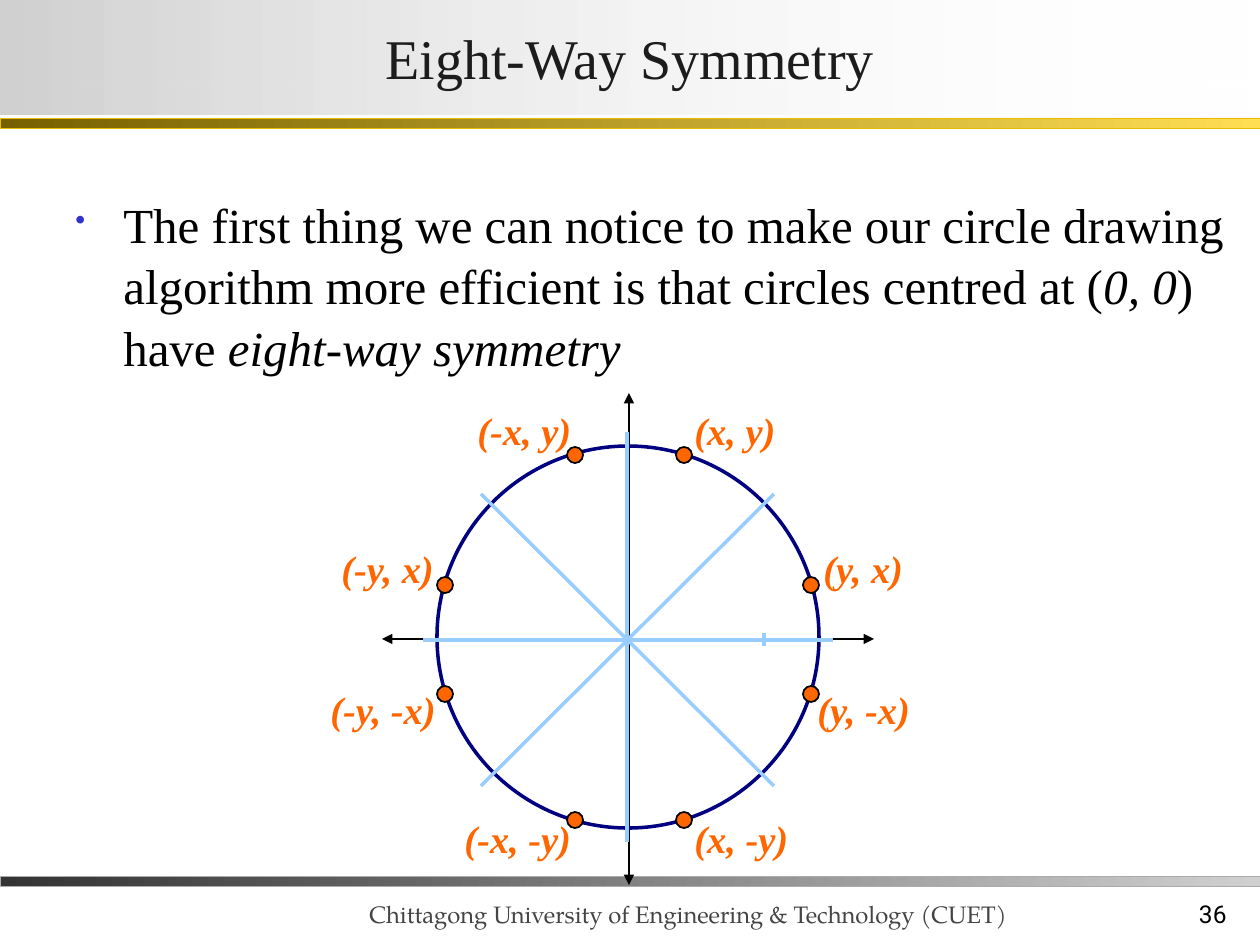
from dataclasses import dataclass
from itertools import product
from typing import NamedTuple

from lxml.etree import SubElement
from pptx import Presentation
from pptx.dml.color import RGBColor
from pptx.enum.shapes import MSO_CONNECTOR, MSO_SHAPE
from pptx.enum.text import MSO_ANCHOR, PP_ALIGN
from pptx.oxml.ns import qn
from pptx.util import Emu, Pt

SCALE = 914400 / 126


@dataclass(frozen=True)
class Theme:
    serif: str = "Times New Roman"
    foot: str = "TeX Gyre Pagella"
    sans: str = "Roboto"
    black: str = "000000"
    title: str = "1C1C1C"
    grey: str = "444444"
    bullet: str = "3333CC"
    navy: str = "000080"
    orange: str = "FF6600"
    sky: str = "99CCFF"
    head_size: float = 32
    body_size: float = 28
    label_size: float = 22
    page_size: float = 14
    foot_size: float = 13.6


class Box(NamedTuple):
    left: int
    top: int
    width: int
    height: int


class Band(NamedTuple):
    box: Box
    start: str
    end: str
    edge: str | None


class Line(NamedTuple):
    x1: int
    y1: int
    x2: int
    y2: int


class Label(NamedTuple):
    text: str
    left: int
    top: int
    width: int


THEME = Theme()
HEAD = Band(Box(0, 0, 1260, 115), "D0D0D0", "FFFFFF", None)
RULES = [
    Band(Box(0, 876, 1260, 10), "333333", "D0D0D0", "ABABAB"),
    Band(Box(0, 118, 1260, 10), "766000", "FFDE53", "E8BC00"),
]
BODY = [
    ("The first thing we can notice to make our circle drawing algorithm "
     "more efficient is that circles centred at (", False),
    ("0, 0", True),
    (") have ", False),
    ("eight-way symmetry", True),
]
AXES = [Line(629, 885, 629, 393), Line(382, 639, 874, 639)]
CIRCLE = Box(437, 446, 382, 382)
DOT = 16
DOTS = [*product((575, 684), (455, 820)), *product((445, 811), (585, 694))]
LABELS = [
    Label("(x, y)", 682, 401, 107),
    Label("(y, x)", 811, 539, 107),
    Label("(y, -x)", 805, 680, 120),
    Label("(x, -y)", 682, 809, 120),
    Label("(-x, -y)", 452, 809, 132),
    Label("(-y, -x)", 318, 680, 132),
    Label("(-y, x)", 329, 539, 120),
    Label("(-x, y)", 465, 401, 120),
]
SPOKES = [
    Line(481, 786, 774, 494),
    Line(764, 633, 764, 646),
    Line(774, 786, 481, 494),
    Line(627, 842, 627, 432),
    Line(423, 640, 833, 640),
]


def px(size: int) -> Emu:
    return Emu(round(size * SCALE))


def style(font, name: str, size: float, hue: str, bold=False, slant=False) -> None:
    font.name, font.size = name, Pt(size)
    font.bold, font.italic = bold, slant
    font.color.rgb = RGBColor.from_string(hue)


def add_shape(slide, kind, box: Box, fill: str | None, edge: str | None, width: float):
    shape = slide.shapes.add_shape(kind, *map(px, box))
    shape.shadow.inherit = False
    if fill:
        shape.fill.solid()
        shape.fill.fore_color.rgb = RGBColor.from_string(fill)
    else:
        shape.fill.background()
    if edge:
        shape.line.color.rgb = RGBColor.from_string(edge)
        shape.line.width = Pt(width)
    else:
        shape.line.fill.background()
    return shape


def add_band(slide, band: Band):
    shape = add_shape(slide, MSO_SHAPE.RECTANGLE, band.box, None, band.edge, 0.25)
    shape.fill.gradient()
    shape.fill.gradient_angle = 0
    for stop, hue, place in zip(shape.fill.gradient_stops, (band.start, band.end), (0, 1)):
        stop.color.rgb = RGBColor.from_string(hue)
        stop.position = place
    return shape


def add_text(slide, box: Box, text: str, anchor=MSO_ANCHOR.TOP, align=PP_ALIGN.LEFT, wrap=True):
    frame = slide.shapes.add_textbox(*map(px, box)).text_frame
    frame.word_wrap = wrap
    frame.vertical_anchor = anchor
    frame.text = text
    frame.paragraphs[0].alignment = align
    return frame.paragraphs[0]


def add_line(slide, line: Line, hue: str, width: float, arrows: bool = False) -> None:
    link = slide.shapes.add_connector(MSO_CONNECTOR.STRAIGHT, *map(px, line))
    link.line.color.rgb = RGBColor.from_string(hue)
    link.line.width = Pt(width)
    if arrows:
        stroke = link.line._get_or_add_ln()
        for tag in ("a:headEnd", "a:tailEnd"):
            SubElement(stroke, qn(tag), type="triangle")
    SubElement(link._element.spPr, qn("a:effectLst"))


def add_title(slide) -> None:
    shape = add_band(slide, HEAD)
    last = shape._element.spPr.findall(".//" + qn("a:srgbClr"))[-1]
    SubElement(last, qn("a:alpha"), val="0")
    frame = shape.text_frame
    frame.text = "Eight-Way Symmetry"
    frame.vertical_anchor = MSO_ANCHOR.MIDDLE
    line = frame.paragraphs[0]
    line.alignment = PP_ALIGN.CENTER
    style(line.runs[0].font, THEME.serif, THEME.head_size, THEME.title)


def add_body(slide) -> None:
    para = add_text(slide, Box(63, 185, 1197, 760), BODY[0][0])
    props = para._p.get_or_add_pPr()
    props.set("marL", str(px(48)))
    props.set("indent", str(-px(48)))
    para.line_spacing = 1.05
    SubElement(SubElement(props, qn("a:buClr")), qn("a:srgbClr"), val=THEME.bullet)
    SubElement(props, qn("a:buSzPct"), val="60000")
    SubElement(props, qn("a:buChar"), char="•")
    for text, _ in BODY[1:]:
        para.add_run().text = text
    for run, (_, slant) in zip(para.runs, BODY):
        style(run.font, THEME.serif, THEME.body_size, THEME.black, slant=slant)


def add_foot(slide) -> None:
    page = add_text(slide, Box(977, 872, 262, 63), "36", MSO_ANCHOR.BOTTOM, PP_ALIGN.RIGHT)
    style(page.runs[0].font, THEME.sans, THEME.page_size, THEME.black)
    name = add_text(slide, Box(357, 857, 683, 78),
                    "Chittagong University of Engineering & Technology (CUET)",
                    MSO_ANCHOR.BOTTOM)
    style(name.runs[0].font, THEME.foot, THEME.foot_size, THEME.grey)


def add_graph(slide) -> None:
    for axis in AXES:
        add_line(slide, axis, THEME.black, 1, arrows=True)
    add_shape(slide, MSO_SHAPE.OVAL, CIRCLE, None, THEME.navy, 2)
    for x, y in DOTS:
        box = Box(x - DOT // 2, y - DOT // 2, DOT, DOT)
        add_shape(slide, MSO_SHAPE.OVAL, box, THEME.orange, THEME.black, 1)
    for text, left, top, width in LABELS:
        para = add_text(slide, Box(left, top, width, 59), text, wrap=False)
        style(para.runs[0].font, THEME.serif, THEME.label_size, THEME.orange, True, True)
    for spoke in SPOKES:
        add_line(slide, spoke, THEME.sky, 2)


def main() -> None:
    deck = Presentation()
    deck.slide_width, deck.slide_height = px(1260), px(945)
    slide = deck.slides.add_slide(deck.slide_layouts[6])
    add_foot(slide)
    for rule in RULES:
        add_band(slide, rule)
    add_title(slide)
    add_body(slide)
    add_graph(slide)
    deck.save("out.pptx")


if __name__ == "__main__":
    main()
